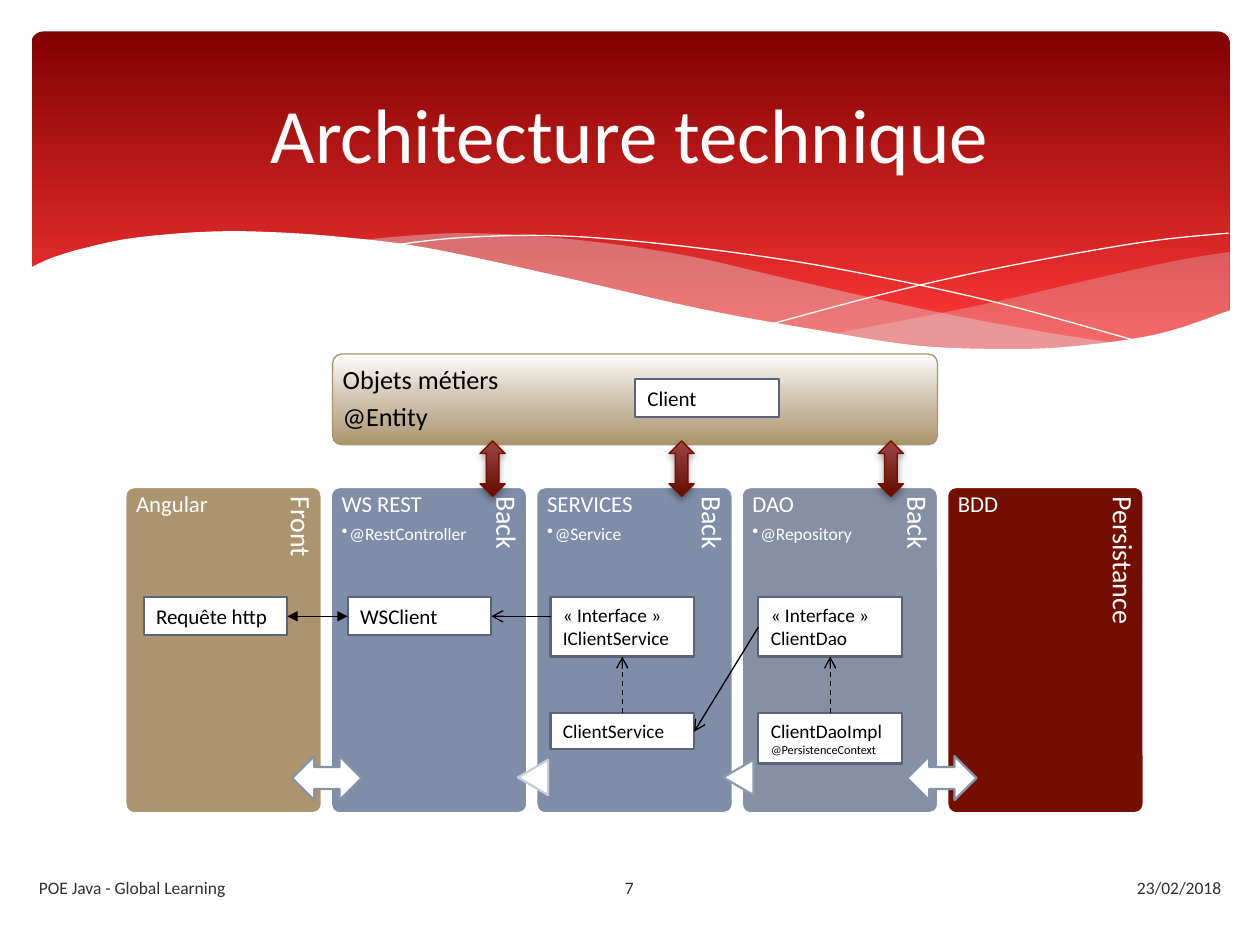
from copy import deepcopy

from lxml.etree import SubElement
from pptx import Presentation
from pptx.dml.color import RGBColor
from pptx.enum.dml import MSO_LINE
from pptx.enum.shapes import MSO_CONNECTOR, MSO_SHAPE
from pptx.enum.text import MSO_ANCHOR, PP_ALIGN
from pptx.oxml.ns import qn
from pptx.util import Pt

FONT = "Calibri"
WHITE = RGBColor(0xFF, 0xFF, 0xFF)
BLACK = RGBColor(0, 0, 0)
DARK_GRAY = RGBColor(0x30, 0x30, 0x30)
MIST = RGBColor(0xDE, 0xDE, 0xE0)
DEEP_RED = RGBColor(0x82, 0x01, 0x01)
BRIGHT_RED = RGBColor(0xFE, 0x37, 0x37)
BROWN_RED = RGBColor(0x73, 0x0E, 0x00)
ARROW_TOP = RGBColor(0x9D, 0x45, 0x44)
ARROW_BOTTOM = RGBColor(0x62, 0x0C, 0x00)
SAND = RGBColor(0xAC, 0x95, 0x6E)
LIGHT_SAND = RGBColor(0xD5, 0xC9, 0xB8)
BLUE = RGBColor(0x80, 0x8D, 0xA9)
GRAY_BLUE = RGBColor(0x86, 0x8F, 0xA4)
SLATE = RGBColor(0x5A, 0x63, 0x78)
STEEL = RGBColor(0x84, 0x94, 0xA6)
TRIANGLE_EDGE = RGBColor(0x91, 0x9A, 0xAD)
PALE_EDGE = RGBColor(0xC9, 0xCD, 0xD7)


def paint(shape, fill=None, line=None, weight=1.25, alpha=None):
    """Set a plain fill and outline, without a shadow."""
    shape.shadow.inherit = False
    if fill is None:
        shape.fill.background()
    else:
        shape.fill.solid()
        shape.fill.fore_color.rgb = fill
    if alpha:
        color = shape._element.spPr.find(qn("a:solidFill"))[0]
        SubElement(color, qn("a:alpha"), val=str(alpha * 1000))
    if line is None:
        shape.line.fill.background()
    else:
        shape.line.color.rgb = line
        shape.line.width = Pt(weight)


def shade(shape, stops):
    """Fill a shape from top to bottom with (position, colour) stops."""
    shape.fill.gradient()
    shape.fill.gradient_angle = 270
    stop_list = shape._element.spPr.find(qn("a:gradFill")).find(qn("a:gsLst"))
    for _ in stops[2:]:
        stop_list.append(deepcopy(stop_list[0]))
    for stop, (position, color) in zip(shape.fill.gradient_stops, stops):
        stop.position = position
        stop.color.rgb = color


def add_preset(slide, kind, left, top, width, height, **style):
    """Add a painted preset shape."""
    shape = slide.shapes.add_shape(kind, Pt(left), Pt(top), Pt(width), Pt(height))
    paint(shape, **style)
    return shape


def write(shape, lines, color, insets=(7.2, 3.6, 7.2, 3.6), anchor=MSO_ANCHOR.TOP,
          align=PP_ALIGN.LEFT, spacing=None, after=0):
    """Fill a shape with (text, size) lines."""
    frame = shape.text_frame
    frame.word_wrap = True
    frame.vertical_anchor = anchor
    (frame.margin_left, frame.margin_top,
     frame.margin_right, frame.margin_bottom) = map(Pt, insets)
    for index, (text, size) in enumerate(lines):
        paragraph = frame.add_paragraph() if index else frame.paragraphs[0]
        paragraph.text = text
        paragraph.alignment = align
        paragraph.line_spacing = spacing
        paragraph.space_after = Pt(after)
        paragraph.font.name = FONT
        paragraph.font.size = Pt(size)
        paragraph.font.color.rgb = color


def add_text(slide, left, top, width, height, lines, color, **layout):
    """Add a text box and return it."""
    box = slide.shapes.add_textbox(Pt(left), Pt(top), Pt(width), Pt(height))
    write(box, lines, color, **layout)
    return box


def smooth(knots, steps=6):
    """Return points on a Catmull-Rom curve through the knots."""
    padded = [knots[0], *knots, knots[-1]]
    points = [knots[0]]
    for a, b, c, d in zip(padded, padded[1:], padded[2:], padded[3:]):
        for step in range(1, steps + 1):
            t = step / steps
            points.append(tuple(
                (2 * q + (r - p) * t + (2 * p - 5 * q + 4 * r - s) * t ** 2
                 + (3 * q - p - 3 * r + s) * t ** 3) / 2
                for p, q, r, s in zip(a, b, c, d)))
    return points


def add_wave(slide, points, close=True, **style):
    """Add a freeform through points."""
    corners = [(Pt(x), Pt(y)) for x, y in points]
    builder = slide.shapes.build_freeform(*corners[0], scale=1.0)
    builder.add_line_segments(corners[1:], close=close)
    paint(builder.convert_to_shape(), **style)


def add_banner(slide):
    """Draw the red banner, its waves and the title."""
    panel = add_preset(slide, MSO_SHAPE.ROUNDED_RECTANGLE, 18, 18, 684.7, 194.4)
    panel.adjustments[0] = 0.034
    shade(panel, [(0, DEEP_RED), (0.9, BRIGHT_RED)])
    right_top = [(702.7, 144), (672, 149), (620, 160.5), (561, 174.2), (476, 190.8)]
    right_bottom = [(476, 190.8), (527, 197.3), (571, 199.8), (615, 199.4),
                    (652, 193.7), (683, 185), (702.7, 177.5)]
    add_wave(slide, smooth(right_top) + smooth(right_bottom), fill=MIST, alpha=29)
    middle_top = [(643, 196.6), (603, 190.8), (534, 178), (453, 160), (400, 147.6),
                  (352, 139.7), (302, 134.6), (260, 133.3), (225, 135.4), (206, 137.5)]
    middle_bottom = [(206, 137.5), (246, 143.3), (291, 151.9), (354, 167),
                     (420, 181.4), (479, 191.5), (530, 198), (581, 200.2), (643, 196.6)]
    add_wave(slide, smooth(middle_top) + smooth(middle_bottom), fill=MIST, alpha=40)
    add_wave(slide, smooth([(222.5, 140.4), (261, 136), (312, 134.6), (367, 138.2),
                            (438, 146.9), (500, 157.7), (572, 173.5), (653, 195.8)]),
             close=False, line=WHITE, weight=0)
    add_wave(slide, smooth([(441.4, 185), (500, 169.2), (559, 155.5), (623, 143.3),
                            (665, 136.8), (702, 133.2)]),
             close=False, line=WHITE, weight=0)
    edge = [(703.4, 177.1), (662, 190.8), (612, 198), (571, 199.4), (523, 197.3),
            (467, 188.6), (400, 176.4), (322, 158.4), (245, 141.8), (195, 135.4),
            (152, 132.5), (116, 132.5), (76, 136), (48, 141.8), (29, 147.6), (16.6, 153.4)]
    add_wave(slide, smooth(edge) + [(16.6, 236.9), (703.4, 236.9)], fill=WHITE)
    add_text(slide, 36, 26.6, 648, 98.6, [("Architecture technique", 44)], WHITE,
             anchor=MSO_ANCHOR.MIDDLE, align=PP_ALIGN.CENTER)


def add_layer(slide, left, top, name, side, color, annotation=None,
              triangle_edge=None):
    """Draw one layer column: heading, upright side label, flow triangle."""
    column = add_preset(slide, MSO_SHAPE.ROUNDED_RECTANGLE, left, top, 113, 187.2,
                        fill=color, line=WHITE, weight=2)
    column.adjustments[0] = 0.05
    label = add_text(slide, left + 25.2, top + 65.5, 153.4, 22.3, [(side, 16)],
                     WHITE, insets=(5.8, 4.3, 0, 0), spacing=0.9)
    label.rotation = 90
    if triangle_edge:
        triangle = add_preset(slide, MSO_SHAPE.FLOWCHART_EXTRACT, left + 105.8,
                              top + 157.7, 20.2, 17.3, fill=WHITE, line=triangle_edge)
        triangle.rotation = 270
    lines = [(name, 13)] + ([(annotation, 10)] if annotation else [])
    heading = add_text(slide, left + 6.5, top, 84.2, 187.2, lines, WHITE,
                       insets=(0, 3.6, 0, 0), spacing=0.9, after=4.5)
    if annotation:
        properties = heading.text_frame.paragraphs[1]._p.get_or_add_pPr()
        properties.set("marL", str(Pt(4.5)))
        properties.set("indent", str(-Pt(4.5)))
        bullet = SubElement(properties, qn("a:buChar"), char="•")
        properties.find(qn("a:defRPr")).addprevious(bullet)


def add_entity_panel(slide, left, top):
    """Draw the business object panel and its arrows to the layers."""
    panel = add_preset(slide, MSO_SHAPE.ROUNDED_RECTANGLE, left, top, 345.6, 51.8,
                       line=SAND, weight=0.75)
    panel.adjustments[0] = 0.1
    shade(panel, [(0, WHITE), (0.44, LIGHT_SAND), (1, SAND)])
    add_text(slide, left + 1.4, top + 1.4, 226, 49,
             [("Objets métiers", 15), ("@Entity", 15)], BLACK,
             insets=(4.3,) * 4, anchor=MSO_ANCHOR.MIDDLE, spacing=0.9, after=5.2)
    for offset in (84.2, 192.2, 311.8):
        arrow = add_preset(slide, MSO_SHAPE.UP_DOWN_ARROW, left + offset, top + 49.7,
                           14.4, 31.7, line=BROWN_RED, weight=0.75)
        shade(arrow, [(0, ARROW_TOP), (1, ARROW_BOTTOM)])
        effects = arrow._element.spPr.find(qn("a:effectLst"))
        shadow = SubElement(effects, qn("a:outerShdw"), blurRad=str(Pt(4)),
                            dist=str(Pt(2)), dir="5400000", rotWithShape="0")
        black = SubElement(shadow, qn("a:srgbClr"), val="000000")
        SubElement(black, qn("a:alpha"), val="38000")


def add_class(slide, left, top, height, *lines):
    """Draw a white class box."""
    box = add_preset(slide, MSO_SHAPE.RECTANGLE, left, top, 82.1, height,
                     fill=WHITE, line=SLATE)
    write(box, lines, BLACK)


def add_link(slide, start, end, dashed=False, head=None, tail="arrow"):
    """Draw an arrow between two points."""
    link = slide.shapes.add_connector(MSO_CONNECTOR.STRAIGHT, *map(Pt, start + end))
    link.line.color.rgb = BLACK
    link.line.width = Pt(0.75)
    if dashed:
        link.line.dash_style = MSO_LINE.DASH
    outline = link._element.spPr.find(qn("a:ln"))
    for tag, kind in (("a:headEnd", head), ("a:tailEnd", tail)):
        if kind:
            SubElement(outline, qn(tag), type=kind)
    SubElement(link._element.spPr, qn("a:effectLst"))


def add_classes(slide, top):
    """Draw the classes of each layer and the links between them."""
    request, controller, service, dao, lower = 82.1, 198.7, 314.6, 433.4, top + 66.2
    add_class(slide, dao, top, 33.9, ("«\u00a0Interface\u00a0»", 11), ("ClientDao", 11))
    add_class(slide, dao, lower, 28.8, ("ClientDaoImpl", 11), ("@PersistenceContext", 7))
    add_class(slide, service, top, 33.9, ("«\u00a0Interface\u00a0»", 11),
              ("IClientService", 11))
    add_class(slide, service, lower, 20.6, ("ClientService", 11))
    add_class(slide, controller, top, 21.8, ("WSClient", 12))
    add_class(slide, request, top, 21.8, ("Requête http", 12))
    add_class(slide, 362.9, 216.7, 21.8, ("Client", 12))
    for left in (service, dao):
        add_link(slide, (left + 41, lower), (left + 41, top + 33.9), dashed=True)
    middle = top + 10.9
    add_link(slide, (service, middle), (controller + 82.1, middle))
    add_link(slide, (dao, top + 17), (service + 82.1, lower + 10.6))
    add_link(slide, (request + 82.1, middle), (controller, middle),
             head="triangle", tail="triangle")


def add_footer(slide, top):
    """Write the footer: course, slide number and date."""
    for left, width, text, align in (
            (15.1, 298, "POE Java - Global Learning", PP_ALIGN.LEFT),
            (313.9, 91.4, "7", PP_ALIGN.CENTER),
            (406.8, 298, "23/02/2018", PP_ALIGN.RIGHT)):
        add_text(slide, left, top, width, 28.8, [(text, 10)], DARK_GRAY,
                 anchor=MSO_ANCHOR.MIDDLE, align=align)


LAYERS = [
    ("Angular", "Front", SAND),
    ("WS REST", "Back", BLUE, "@RestController", PALE_EDGE),
    ("SERVICES", "Back", BLUE, "@Service", TRIANGLE_EDGE),
    ("DAO", "Back", GRAY_BLUE, "@Repository"),
    ("BDD", "Persistance", BROWN_RED),
]

presentation = Presentation()
presentation.slide_width, presentation.slide_height = Pt(720), Pt(540)
slide = presentation.slides.add_slide(presentation.slide_layouts[6])
add_banner(slide)
for index, layer in reversed(list(enumerate(LAYERS))):
    add_layer(slide, 71.3 + 117.4 * index, 277.9, *layer)
add_footer(slide, 492.5)
add_entity_panel(slide, 190.1, 202.3)
add_classes(slide, 341.3)
for arrow_left in (167, 518.4):
    add_preset(slide, MSO_SHAPE.LEFT_RIGHT_ARROW, arrow_left, 432, 39.6, 25.2,
               fill=WHITE, line=STEEL)
presentation.save("out.pptx")
